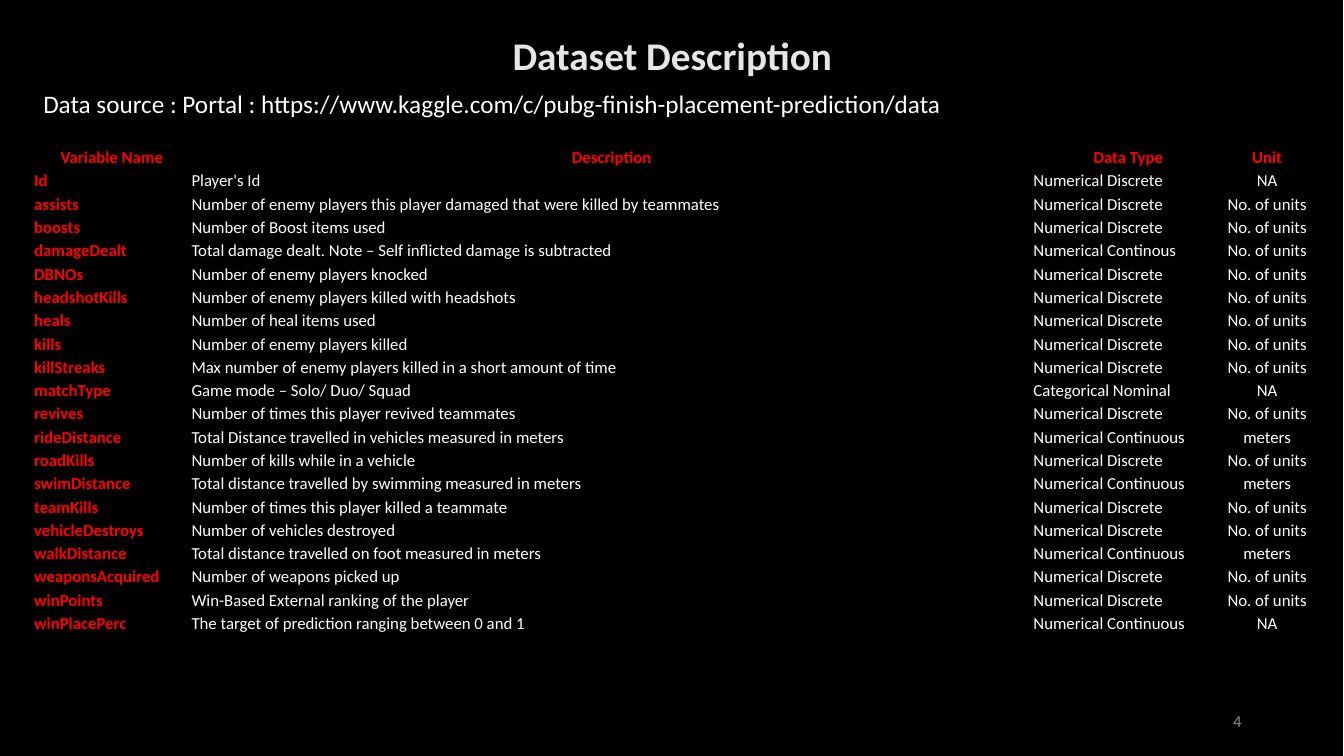
from dataclasses import dataclass
from typing import NamedTuple

from lxml.etree import SubElement
from pptx import Presentation
from pptx.dml.color import RGBColor
from pptx.enum.shapes import MSO_SHAPE
from pptx.enum.text import MSO_ANCHOR, PP_ALIGN
from pptx.oxml.ns import qn
from pptx.slide import Slide
from pptx.table import _Cell
from pptx.text.text import TextFrame
from pptx.util import Pt


@dataclass(frozen=True)
class Theme:
    font: str = "Calibri"
    black: str = "000000"
    white: str = "FFFFFF"
    title: str = "E7E6E6"
    accent: str = "FF0000"
    muted: str = "8C8C8C"
    title_size: float = 28
    source_size: float = 18
    small_size: float = 12


class Style(NamedTuple):
    size: float
    color: str
    bold: bool = False
    align: PP_ALIGN = PP_ALIGN.LEFT


class Label(NamedTuple):
    text: str
    left: float
    top: float
    width: float
    height: float
    style: Style
    anchor: MSO_ANCHOR = MSO_ANCHOR.TOP


class Variable(NamedTuple):
    name: str
    description: str
    data_type: str = "Numerical Discrete"
    unit: str = "No. of units"


THEME = Theme()
CONTINUOUS = "Numerical Continuous"
HEADER = ("Variable Name", "Description", "Data Type", "Unit")
COLUMN_WIDTHS = (112.4, 601.4, 136.8, 61.4)
ROW_HEIGHT = 16.66

LABELS = (
    Label("Dataset Description", 167, 18.7, 626.4, 41,
          Style(THEME.title_size, THEME.title, True, PP_ALIGN.CENTER)),
    Label("Data source : Portal : https://www.kaggle.com/c/pubg-finish-placement-prediction/data",
          23.8, 59.8, 912, 29, Style(THEME.source_size, THEME.white)),
    Label("4", 678, 500.5, 216, 28.8,
          Style(THEME.small_size, THEME.muted, align=PP_ALIGN.RIGHT), MSO_ANCHOR.MIDDLE),
)

VARIABLES = (
    Variable("Id", "Player's Id", unit="NA"),
    Variable("assists", "Number of enemy players this player damaged that were killed by teammates"),
    Variable("boosts", "Number of Boost items used"),
    Variable("damageDealt", "Total damage dealt. Note – Self inflicted damage is subtracted",
             "Numerical Continous"),
    Variable("DBNOs", "Number of enemy players knocked"),
    Variable("headshotKills", "Number of enemy players killed with headshots"),
    Variable("heals", "Number of heal items used"),
    Variable("kills", "Number of enemy players killed"),
    Variable("killStreaks", "Max number of enemy players killed in a short amount of time"),
    Variable("matchType", "Game mode – Solo/ Duo/ Squad", "Categorical Nominal", "NA"),
    Variable("revives", "Number of times this player revived teammates"),
    Variable("rideDistance", "Total Distance travelled in vehicles measured in meters",
             CONTINUOUS, "meters"),
    Variable("roadKills", "Number of kills while in a vehicle"),
    Variable("swimDistance", "Total distance travelled by swimming measured in meters",
             CONTINUOUS, "meters"),
    Variable("teamKills", "Number of times this player killed a teammate"),
    Variable("vehicleDestroys", "Number of vehicles destroyed"),
    Variable("walkDistance", "Total distance travelled on foot measured in meters",
             CONTINUOUS, "meters"),
    Variable("weaponsAcquired", "Number of weapons picked up"),
    Variable("winPoints", "Win-Based External ranking of the player"),
    Variable("winPlacePerc", "The target of prediction ranging between 0 and 1",
             CONTINUOUS, "NA"),
)


def write(tf: TextFrame, text: str, style: Style) -> None:
    p = tf.paragraphs[0]
    p.text = text
    p.alignment = style.align
    p.font.name = THEME.font
    p.font.size = Pt(style.size)
    p.font.bold = style.bold
    p.font.color.rgb = RGBColor.from_string(style.color)


def add_backdrop(slide: Slide) -> None:
    sp = slide.shapes.add_shape(MSO_SHAPE.RECTANGLE, Pt(0), Pt(0), Pt(959), Pt(540))
    sp.shadow.inherit = False
    sp.fill.solid()
    sp.fill.fore_color.rgb = RGBColor.from_string(THEME.black)
    sp.line.color.rgb = RGBColor.from_string(THEME.black)
    sp.line.width = Pt(1)


def add_label(slide: Slide, label: Label) -> None:
    sp = slide.shapes.add_textbox(Pt(label.left), Pt(label.top), Pt(label.width), Pt(label.height))
    tf = sp.text_frame
    tf.word_wrap = True
    tf.vertical_anchor = label.anchor
    write(tf, label.text, label.style)


def add_borders(cell: _Cell) -> None:
    tc_pr = cell._tc.get_or_add_tcPr()
    for side in ("a:lnL", "a:lnR", "a:lnT", "a:lnB"):
        ln = SubElement(tc_pr, qn(side), w=str(Pt(1)))
        fill = SubElement(ln, qn("a:solidFill"))
        SubElement(fill, qn("a:srgbClr"), val=THEME.black)


def cell_style(row: int, col: int) -> Style:
    """Header and names are bold red; header and units are centred."""
    strong = row == 0 or col == 0
    centred = row == 0 or col == len(HEADER) - 1
    return Style(THEME.small_size, THEME.accent if strong else THEME.white, strong,
                 PP_ALIGN.CENTER if centred else PP_ALIGN.LEFT)


def add_variable_table(slide: Slide) -> None:
    rows = (HEADER, *VARIABLES)
    table = slide.shapes.add_table(
        len(rows), len(HEADER), Pt(23.8), Pt(103.5),
        Pt(sum(COLUMN_WIDTHS)), Pt(ROW_HEIGHT * len(rows))).table
    table.first_row = table.horz_banding = False
    for column, width in zip(table.columns, COLUMN_WIDTHS):
        column.width = Pt(width)
    for i, values in enumerate(rows):
        table.rows[i].height = Pt(ROW_HEIGHT)
        for j, text in enumerate(values):
            cell = table.cell(i, j)
            cell.margin_left = cell.margin_right = cell.margin_top = Pt(0.6)
            cell.margin_bottom = Pt(0)
            cell.vertical_anchor = MSO_ANCHOR.BOTTOM
            add_borders(cell)
            cell.fill.background()
            write(cell.text_frame, text, cell_style(i, j))


def main() -> None:
    prs = Presentation()
    prs.slide_width, prs.slide_height = Pt(960), Pt(540)
    slide = prs.slides.add_slide(prs.slide_layouts[6])
    add_backdrop(slide)
    add_variable_table(slide)
    for label in LABELS:
        add_label(slide, label)
    prs.save("out.pptx")


if __name__ == "__main__":
    main()
